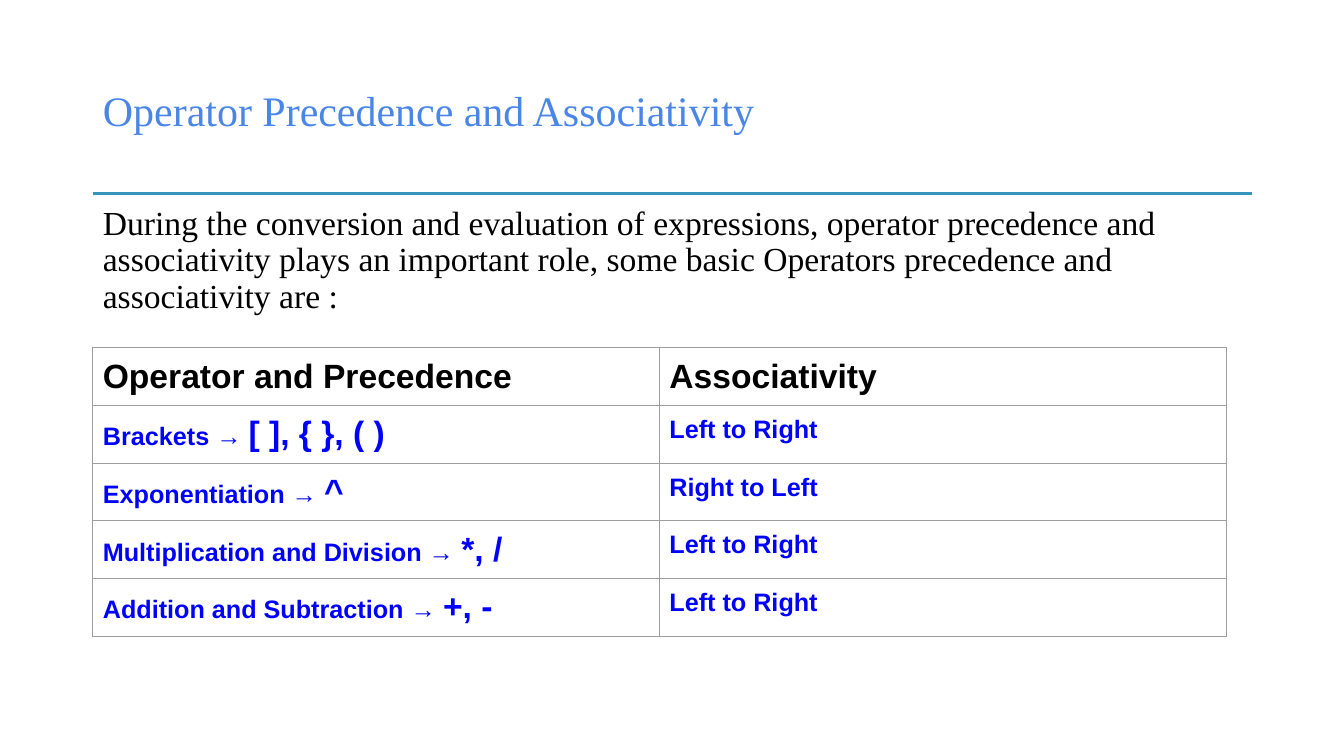
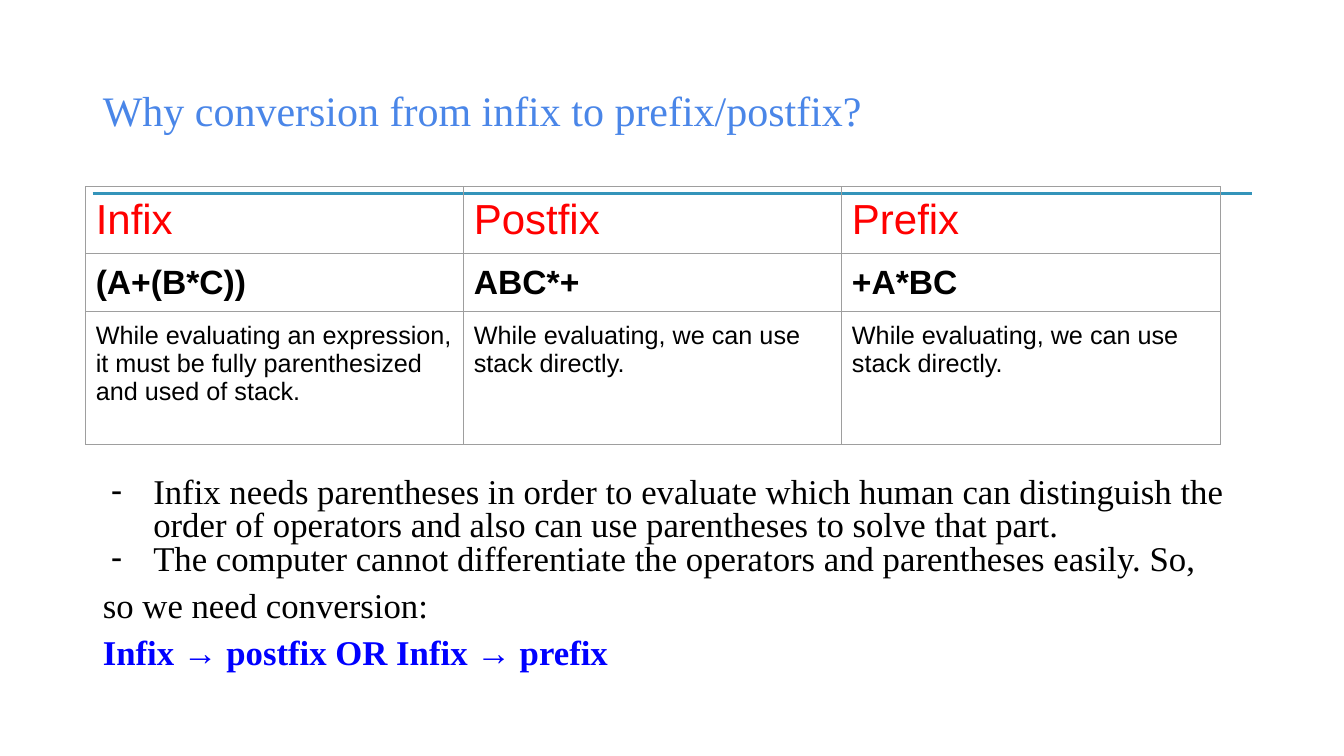
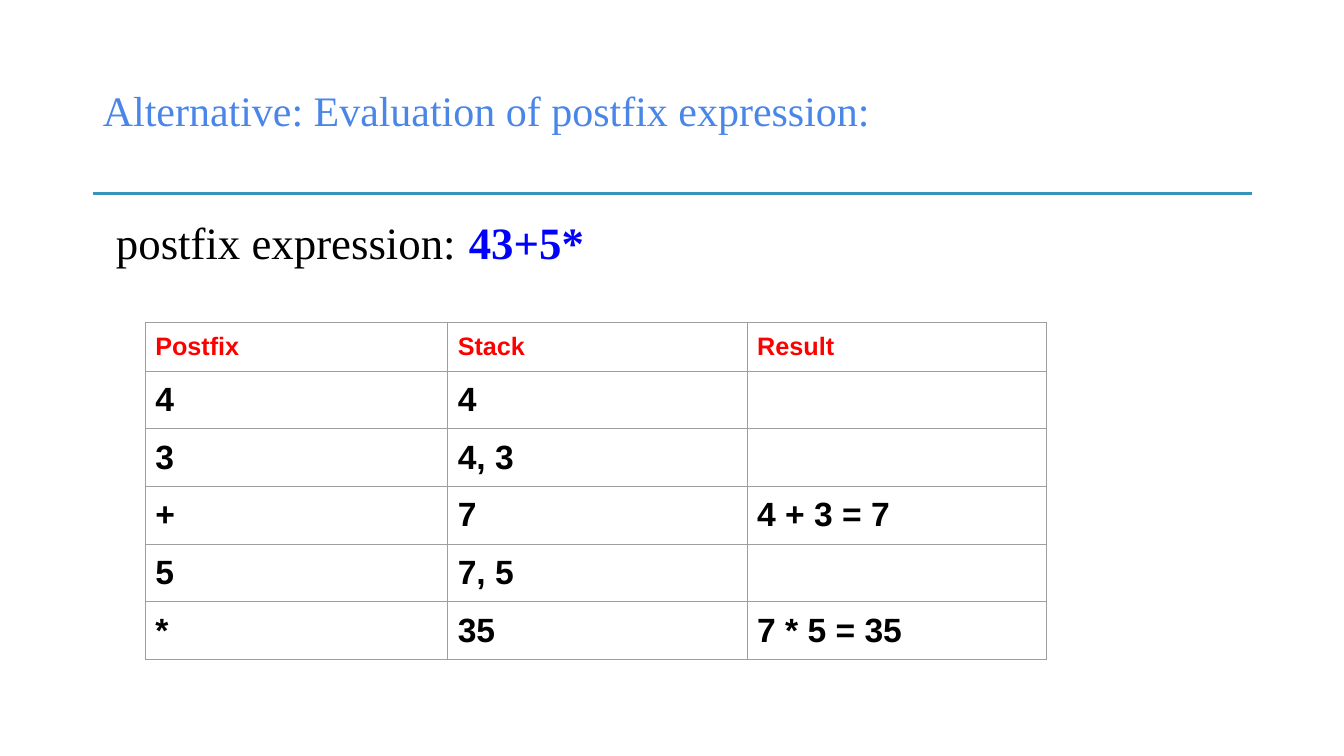
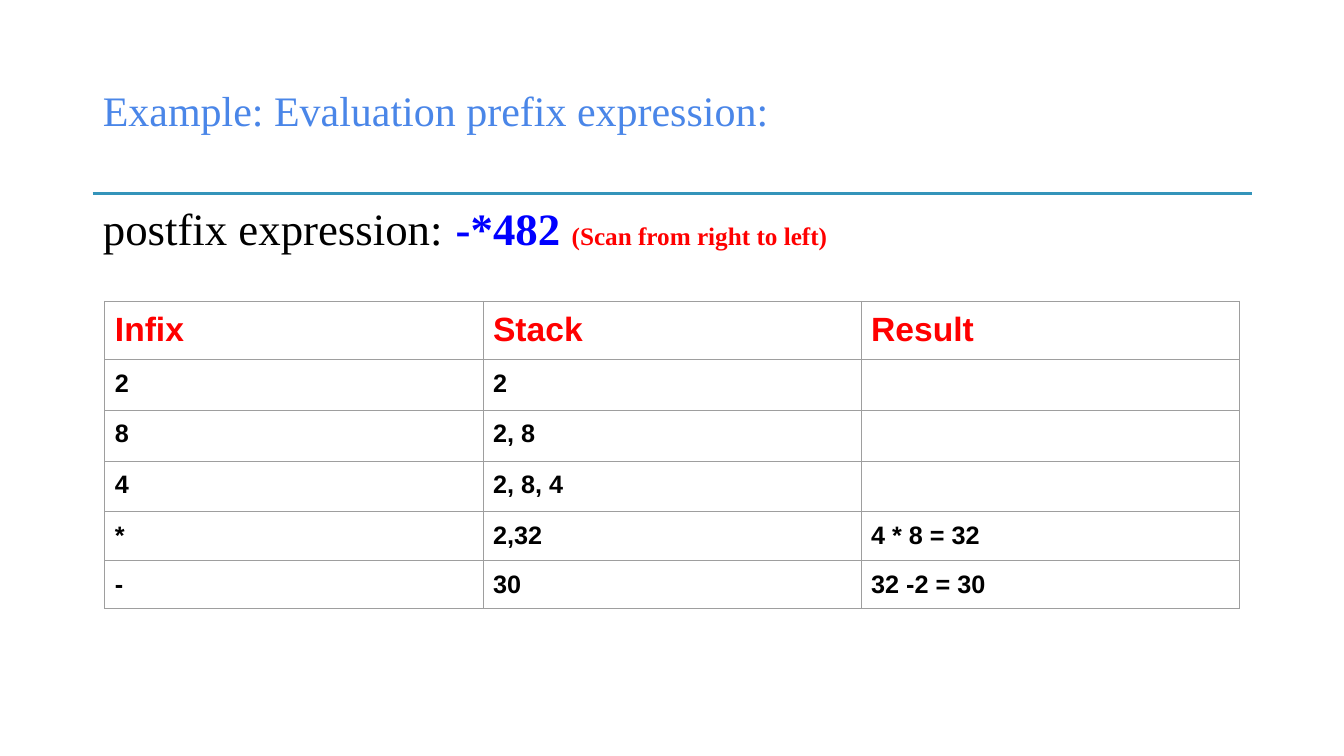
from lxml import etree
from pptx import Presentation
from pptx import util as u
from pptx.dml.color import RGBColor
from pptx.enum import shapes, text
from pptx.oxml import ns

THEME = dict(
    serif="Times New Roman", sans="Arial",
    sky="4A86E8", teal="3494BA", black="000000", blue="0000FF", red="FF0000", grey="9E9E9E",
    small=18, mid=24, list=24.8, large=30, big=32, rule=1.5, grid=0.75,
)
T = THEME
WIDE, HIGH = 13.33, 7.5
LEFT, SPAN = 0.92, 11.5
TITLE = (LEFT, 0.4, SPAN, 1.45)
BODY = (LEFT, 2, SPAN, 1.45)
RULE_Y = 1.92
TAB = 3.7
TALL, LOW = 0.57, 0.48  # row heights for mid and small text

# Text formats
HEAD = dict(size=T["large"], color=T["sky"])
PLAIN = dict(size=T["mid"])
ITEM = dict(size=T["list"])
LABEL = dict(size=T["big"])
CODE = dict(size=T["big"], color=T["blue"], bold=True)
NOTE = dict(size=T["small"], color=T["red"], bold=True)
CELL = dict(size=T["small"], face=T["sans"])
BOLD = dict(CELL, bold=True)
BLUE = dict(BOLD, color=T["blue"])
RED = dict(BOLD, color=T["red"])


def mid(style):
    return dict(style, size=T["mid"])


def rank(name, signs, order):
    """Row of the precedence table."""
    return TALL, BLUE, [[(name + " → ", BLUE), (signs, mid(BLUE))], order]


# Body paragraphs: (runs, options); table rows: (height, format, cells)
SLIDES = [
    dict(
        title="Operator Precedence and Associativity",
        body=[([("During the conversion and evaluation of expressions, operator precedence and "
                 "associativity plays an important role, some basic Operators precedence and "
                 "associativity are :", PLAIN)], {})],
        at=(0.92, 3.45), cols=[5.62] * 2,
        rows=[
            (TALL, mid(BOLD), ["Operator and Precedence", "Associativity"]),
            rank("Brackets", "[ ], { }, ( )", "Left to Right"),
            rank("Exponentiation", "^", "Right to Left"),
            rank("Multiplication and Division", "*, /", "Left to Right"),
            rank("Addition and Subtraction", "+, -", "Left to Right"),
        ],
    ),
    dict(
        title="Why conversion from infix to prefix/postfix?",
        box=(LEFT, 4.69, SPAN, 2.22),
        body=[
            ([("Infix needs parentheses in order to evaluate which human can distinguish the "
               "order of operators and also can use parentheses to solve that part.", ITEM)],
             dict(dash=True, lead=0.8)),
            ([("The computer cannot differentiate the operators and parentheses easily. So,",
               ITEM)], dict(dash=True, lead=0.8)),
            ([("so we need conversion:", ITEM)], dict(lead=0.8, before=10)),
            ([("Infix → postfix OR Infix → prefix", dict(ITEM, color=T["blue"], bold=True))],
             dict(lead=0.8, before=10)),
        ],
        at=(0.85, 1.85), cols=[3.75] * 3,
        rows=[
            (0.66, dict(CELL, size=T["large"], color=T["red"]), ["Infix", "Postfix", "Prefix"]),
            (TALL, mid(BOLD), ["(A+(B*C))", "ABC*+", "+A*BC"]),
            (1.32, CELL, ["While evaluating an expression, it must be fully parenthesized "
                          "and used of stack."]
             + ["While evaluating, we can use stack directly."] * 2),
        ],
    ),
    dict(
        title="Alternative: Evaluation of postfix expression:",
        box=(1.05, 2.14, 5.61, 0.77),
        body=[([("postfix expression:\t", LABEL), ("43+5*", CODE)], dict(tab=TAB))],
        at=(1.44, 3.2), cols=[3, 2.97, 2.97],
        rows=[(LOW, RED, ["Postfix", "Stack", "Result"])] + [
            (TALL, mid(BOLD), cells) for cells in [
                ["4", "4", ""],
                ["3", "4, 3", ""],
                ["+", "7", "4 + 3 = 7"],
                ["5", "7, 5", ""],
                ["*", "35", "7 * 5 = 35"],
            ]],
    ),
    dict(
        title="Example: Evaluation prefix expression:",
        box=(LEFT, 2, SPAN, 0.85),
        body=[([("postfix expression:\t", LABEL), ("-*482 ", CODE),
                ("(Scan from right to left)", NOTE)], dict(tab=TAB))],
        at=(1.04, 2.99), cols=[3.75] * 3,
        rows=[(TALL, mid(RED), ["Infix", "Stack", "Result"])] + [
            (LOW, BOLD, cells) for cells in [
                ["2", "2", ""],
                ["8", "2, 8", ""],
                ["4", "2, 8, 4", ""],
                ["*", "2,32", "4 * 8 = 32"],
                ["-", "30", "32 -2 = 30"],
            ]],
    ),
]


def node(parent, tag, **attrs):
    return etree.SubElement(parent, ns.qn("a:" + tag), {k: str(v) for k, v in attrs.items()})


def ink(parent, color):
    node(node(parent, "solidFill"), "srgbClr", val=color)


def write(para, words, size=18, color=T["black"], bold=False, face=T["serif"]):
    run = para.add_run()
    run.text = words
    font = run.font
    font.size, font.bold, font.name = u.Pt(size), bold, face
    font.color.rgb = RGBColor.from_string(color)


def shape_para(para, lead=0.9, before=0, dash=False, tab=None):
    """Set spacing, indent, bullet and tab stop."""
    para.alignment = text.PP_ALIGN.LEFT
    para.line_spacing, para.space_before = lead, u.Pt(before)
    props = para._p.get_or_add_pPr()
    props.set("marL", str(u.Inches(0.5 if dash else 0)))
    props.set("indent", str(u.Inches(-0.42 if dash else 0)))
    if dash:
        node(node(props, "buClr"), "srgbClr", val=T["black"])
        node(props, "buChar", char="-")
    else:
        node(props, "buNone")
    if tab:
        node(node(props, "tabLst"), "tab", pos=u.Inches(tab), algn="l")


def place(shape, box):
    shape.left, shape.top, shape.width, shape.height = map(u.Inches, box)


def fill(holder, paras, anchor):
    frame = holder.text_frame
    frame.word_wrap, frame.auto_size = True, text.MSO_AUTO_SIZE.NONE
    frame.vertical_anchor = anchor
    for i, (runs, options) in enumerate(paras):
        para = frame.add_paragraph() if i else frame.paragraphs[0]
        shape_para(para, **options)
        for words, style in runs:
            write(para, words, **style)


def add_rule(slide, layout):
    """Draw the title rule and hand it to the layout."""
    rule = slide.shapes.add_connector(
        shapes.MSO_CONNECTOR.STRAIGHT,
        *map(u.Inches, (LEFT, RULE_Y, LEFT + SPAN, RULE_Y)))
    rule.line.color.rgb = RGBColor.from_string(T["teal"])
    rule.line.width = u.Pt(T["rule"])
    node(rule.element.spPr, "effectLst")
    layout.shapes.element.append(rule.element)


def border(cell):
    props = cell._tc.get_or_add_tcPr()
    for side in ("lnL", "lnR", "lnT", "lnB"):
        ink(node(props, side, w=u.Pt(T["grid"])), T["grey"])


def add_grid(slide, at, cols, rows):
    size = sum(cols), sum(row[0] for row in rows)
    grid = slide.shapes.add_table(len(rows), len(cols), *map(u.Inches, at + size)).table
    grid.first_row = grid.horz_banding = False
    for col, width in zip(grid.columns, cols):
        col.width = u.Inches(width)
    for line, (height, style, cells) in zip(grid.rows, rows):
        line.height = u.Inches(height)
        for cell, runs in zip(line.cells, cells):
            border(cell)
            cell.fill.background()
            cell.margin_top = cell.margin_bottom = u.Inches(0.1)
            if isinstance(runs, str):
                runs = [(runs, style)] if runs else []
            for words, look in runs:
                write(cell.text_frame.paragraphs[0], words, **look)


def main():
    deck = Presentation()
    deck.slide_width, deck.slide_height = u.Inches(WIDE), u.Inches(HIGH)
    layout = deck.slide_layouts.get_by_name("Title and Content")
    for holder, box in zip(layout.placeholders, (TITLE, BODY)):
        place(holder, box)
    for i, data in enumerate(SLIDES):
        slide = deck.slides.add_slide(layout)
        if i == 0:
            add_rule(slide, layout)
        title, body = slide.placeholders
        fill(title, [([(data["title"], HEAD)], {})], text.MSO_ANCHOR.MIDDLE)
        if "box" in data:
            place(body, data["box"])
        fill(body, data["body"], text.MSO_ANCHOR.TOP)
        add_grid(slide, data["at"], data["cols"], data["rows"])
    deck.save("out.pptx")


if __name__ == "__main__":
    main()
